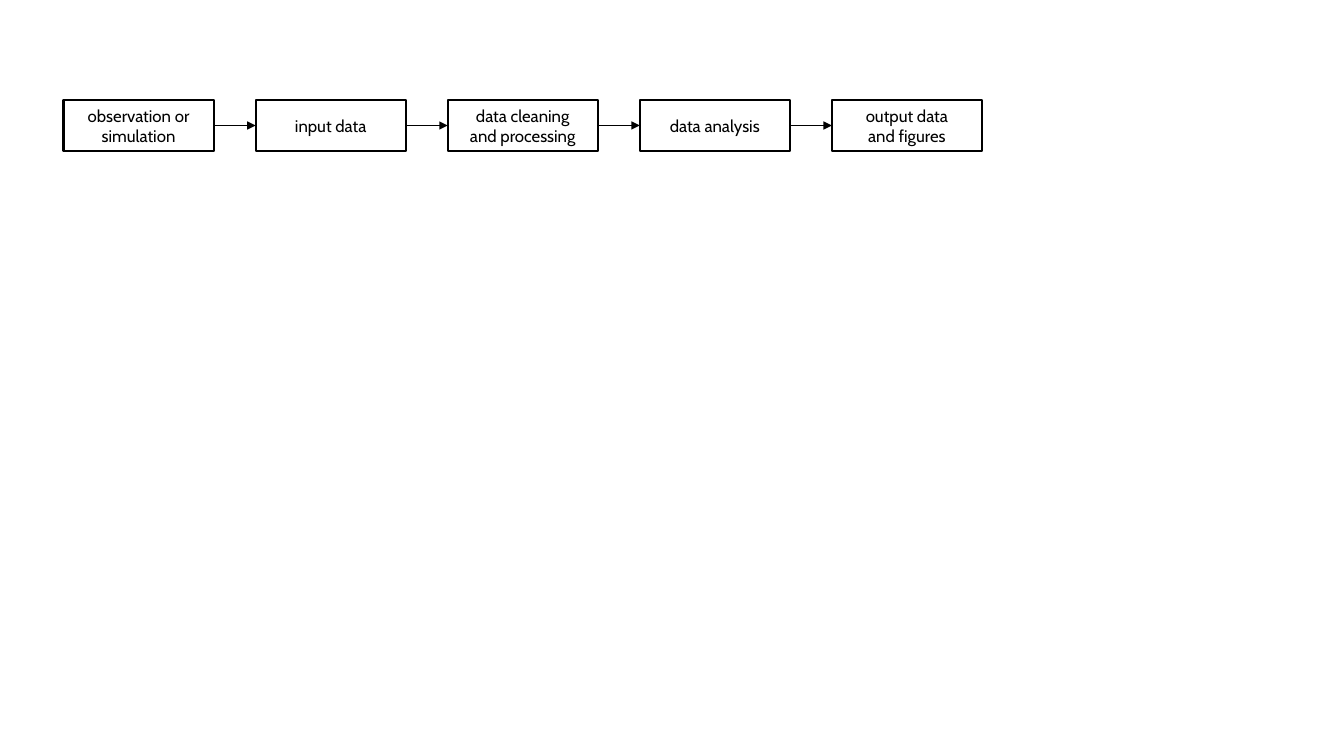
import pptx
import pptx.dml.color
import pptx.enum.shapes
import pptx.enum.text
import pptx.oxml
import pptx.oxml.ns
import pptx.util
from pptx.util import Inches

BLACK = pptx.dml.color.RGBColor(0x00, 0x00, 0x00)

STEPS = [
    "observation or simulation",
    "input data",
    "data cleaning\nand processing",
    "data analysis",
    "output data\nand figures",
]

# Row of boxes, in inches
FIRST_LEFT, LAST_LEFT, TOP = 0.63, 8.25, 0.99
BOX_WIDTH, BOX_HEIGHT = 1.49, 0.51
PITCH = (LAST_LEFT - FIRST_LEFT) / (len(STEPS) - 1)

# Connection sites of a rectangle
LEFT_SITE, RIGHT_SITE = 1, 3


class FlowSlide:
    font = "Cabin"
    size = pptx.util.Pt(12)
    box_line = pptx.util.Pt(1.5)
    arrow_line = pptx.util.Pt(0.5)

    def __init__(self, slide):
        self.slide = slide

    def box(self, text, left):
        sp = self.slide.shapes.add_shape(
            pptx.enum.shapes.MSO_SHAPE.RECTANGLE,
            Inches(left), Inches(TOP), Inches(BOX_WIDTH), Inches(BOX_HEIGHT))
        sp.shadow.inherit = False
        sp.fill.background()
        sp.line.color.rgb = BLACK
        sp.line.width = self.box_line
        tf = sp.text_frame
        tf.text = text
        tf.word_wrap = True
        tf.vertical_anchor = pptx.enum.text.MSO_ANCHOR.MIDDLE
        for p in tf.paragraphs:
            p.alignment = pptx.enum.text.PP_ALIGN.CENTER
            for r in p.runs:
                r.font.name = self.font
                r.font.size = self.size
                r.font.color.rgb = BLACK
        return sp

    def arrow(self, start, end):
        cxn = self.slide.shapes.add_connector(
            pptx.enum.shapes.MSO_CONNECTOR.STRAIGHT, 0, 0, 0, 0)
        cxn.begin_connect(start, RIGHT_SITE)
        cxn.end_connect(end, LEFT_SITE)
        cxn.line.color.rgb = BLACK
        cxn.line.width = self.arrow_line
        # Arrowhead, and no theme shadow
        ln = cxn.line._get_or_add_ln()
        ln.append(pptx.oxml.parse_xml(
            f'<a:tailEnd {pptx.oxml.ns.nsdecls("a")} type="triangle"/>'))
        ln.addnext(pptx.oxml.parse_xml(
            f'<a:effectLst {pptx.oxml.ns.nsdecls("a")}/>'))


def main():
    prs = pptx.Presentation()
    prs.slide_width, prs.slide_height = Inches(13.33), Inches(7.5)
    s = FlowSlide(prs.slides.add_slide(prs.slide_layouts[6]))

    # Workflow steps
    boxes = [s.box(text, FIRST_LEFT + i * PITCH) for i, text in enumerate(STEPS)]

    # Arrows between neighbours
    for start, end in zip(boxes, boxes[1:]):
        s.arrow(start, end)

    prs.save("out.pptx")


if __name__ == "__main__":
    main()
